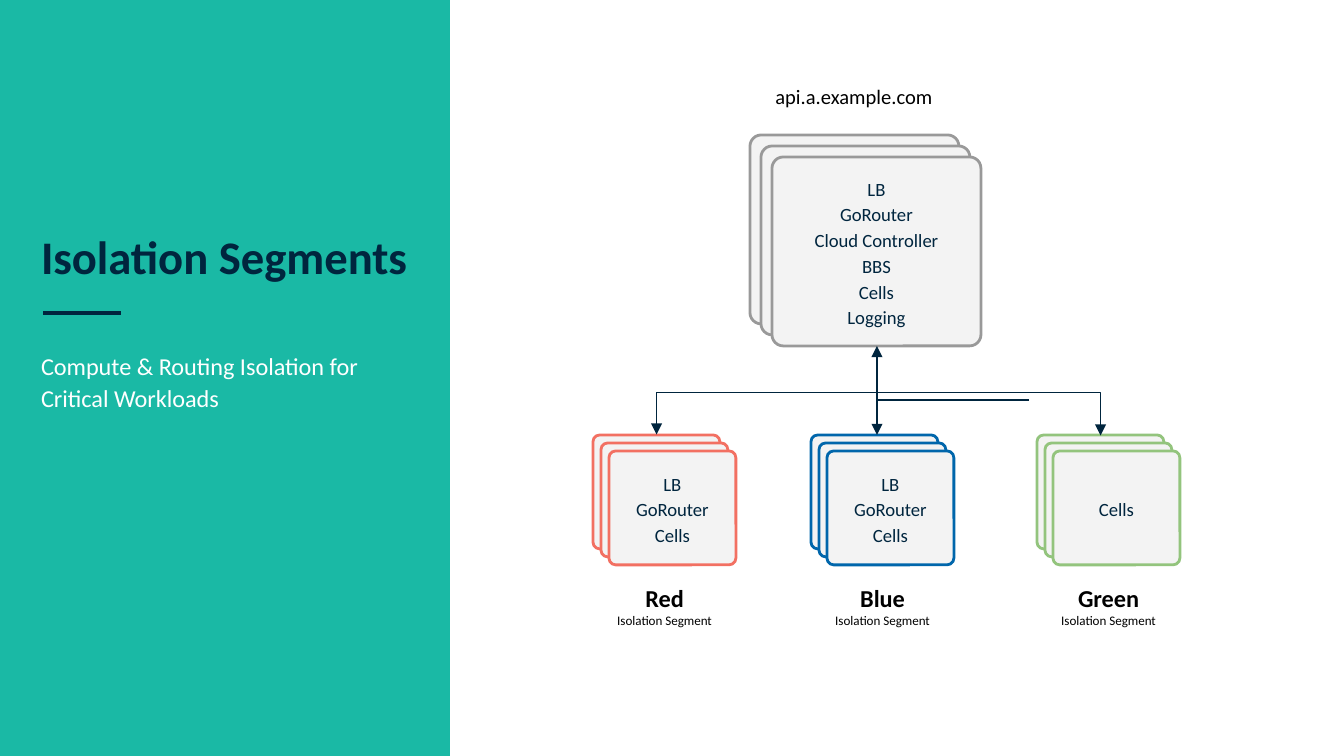
from dataclasses import dataclass

from lxml.etree import SubElement
from pptx import Presentation
from pptx.dml.color import RGBColor
from pptx.enum.shapes import MSO_CONNECTOR as Link, MSO_SHAPE as Shape
from pptx.enum.text import MSO_ANCHOR as Anchor, MSO_AUTO_SIZE as AutoSize, PP_ALIGN as Align
from pptx.oxml.ns import qn
from pptx.util import Emu, Pt

EMU_PER_PX = 914400 / 134.4


@dataclass(frozen=True)
class Theme:
    font: str = "Calibri"
    panel: str = "1AB9A5"
    ink: str = "00253E"
    black: str = "000000"
    white: str = "FFFFFF"
    card: str = "F3F3F3"
    gray: str = "999999"
    red: str = "F27062"
    blue: str = "0066AB"
    green: str = "93C47D"
    title: int = 25
    lead: int = 13
    host: int = 11
    item: int = 10
    caption: int = 7


def px(length):
    return Emu(round(length * EMU_PER_PX))


def rgb(color):
    return RGBColor.from_string(color)


def write(frame, text, *, font, size, color, bold=False, align=Align.CENTER,
          spacing=1.0, after=0, more=False):
    """Add one formatted paragraph; more=True continues a filled frame."""
    paragraph = frame.add_paragraph() if more else frame.paragraphs[0]
    paragraph.text = text
    paragraph.alignment = align
    paragraph.line_spacing = spacing
    paragraph.space_before = Pt(0)
    paragraph.space_after = Pt(after)
    style = paragraph.font
    style.name, style.size, style.bold = font, Pt(size), bold
    style.color.rgb = rgb(color)


class SlideBuilder:
    def __init__(self, slide, theme):
        self.slide = slide
        self.shapes = slide.shapes
        self.theme = theme

    def prepare(self, frame, anchor=Anchor.TOP):
        frame.word_wrap = True
        frame.auto_size = AutoSize.NONE
        frame.vertical_anchor = anchor
        frame.margin_left = frame.margin_right = px(13)
        frame.margin_top = frame.margin_bottom = px(13)
        return frame

    def placeholder(self, index, box, text, anchor, **style):
        holder = self.slide.placeholders[index]
        holder.left, holder.top, holder.width, holder.height = map(px, box)
        self.shapes.element.append(holder.element)  # above the panel
        frame = self.prepare(holder.text_frame, anchor)
        write(frame, text, font=self.theme.font, align=Align.LEFT, **style)

    def label(self, box, lines):
        frame = self.prepare(self.shapes.add_textbox(*map(px, box)).text_frame)
        for number, (text, size, bold) in enumerate(lines):
            write(frame, text, font=self.theme.font, size=size, bold=bold,
                  color=self.theme.black, more=number > 0)

    def block(self, kind, box, fill, outline=None):
        block = self.shapes.add_shape(kind, *map(px, box))
        block.shadow.inherit = False
        block.fill.solid()
        block.fill.fore_color.rgb = rgb(fill)
        if outline:
            block.line.color.rgb = rgb(outline)
            block.line.width = Pt(1.5)
        else:
            block.line.fill.background()
        return block

    def stack(self, box, step, outline, items):
        """Three offset cards; the front one lists the components."""
        left, top, width, height = box
        for depth in range(3):
            place = (left + depth * step, top + depth * step, width, height)
            card = self.block(Shape.ROUNDED_RECTANGLE, place, self.theme.card, outline)
            card.adjustments[0] = 0.06
        frame = card.text_frame
        frame.word_wrap = True
        frame.vertical_anchor = Anchor.MIDDLE
        for number, item in enumerate(items):
            write(frame, item, font=self.theme.font, size=self.theme.item,
                  color=self.theme.ink, spacing=1.15, more=number > 0)

    def connector(self, kind, ends, width=0.75, arrows=(), turn=0, preset=None, bend=None):
        line = self.shapes.add_connector(kind, *map(px, ends))
        line.line.color.rgb = rgb(self.theme.ink)
        line.line.width = Pt(width)
        properties = line.element.spPr
        outline = properties.find(qn("a:ln"))
        for end in arrows:
            SubElement(outline, qn(f"a:{end}"), type="triangle")
        SubElement(properties, qn("a:effectLst"))
        geometry = properties.find(qn("a:prstGeom"))
        if turn:
            properties.find(qn("a:xfrm")).set("rot", str(turn * 60000))
        if preset:
            geometry.set("prst", preset)
        if bend is not None:
            SubElement(geometry.find(qn("a:avLst")), qn("a:gd"),
                       name="adj1", fmla=f"val {bend * 100000}")


def main():
    theme = Theme()
    deck = Presentation()
    deck.slide_width, deck.slide_height = px(1344), px(756)
    page = SlideBuilder(deck.slides.add_slide(deck.slide_layouts[0]), theme)

    # Title panel
    page.block(Shape.RECTANGLE, (0, 0, 450, 756), theme.panel)
    page.connector(Link.STRAIGHT, (121, 313, 43, 313), width=2.25)
    page.placeholder(0, (28, 80, 405, 217), "Isolation Segments", Anchor.BOTTOM,
                     size=theme.title, color=theme.ink, bold=True)
    page.placeholder(1, (28, 335, 405, 328),
                     "Compute & Routing Isolation for Critical Workloads", Anchor.TOP,
                     size=theme.lead, color=theme.white, spacing=1.1, after=15)

    # Shared control plane
    page.label((750, 71, 208, 56), [("api.a.example.com", theme.host, False)])
    page.stack((750, 135, 209, 189), 11, theme.gray,
               ["LB", "GoRouter", "Cloud Controller", "BBS", "Cells", "Logging"])

    # Isolation segments
    routed = ["LB", "GoRouter", "Cells"]
    segments = [
        ("Red", 593, theme.red, routed),
        ("Blue", 811, theme.blue, routed),
        ("Green", 1037, theme.green, ["Cells"]),
    ]
    for name, left, color, items in segments:
        page.stack((left, 435, 127, 114), 8, color, items)
        page.label((left + 1, 570, 141, 56),
                   [(name, theme.lead, True), ("Isolation Segment", theme.caption, False)])

    # Links from the control plane to the segments
    page.connector(Link.ELBOW, (877, 346, 1029, 400), arrows=["tailEnd"],
                   turn=180, preset="bentConnector2")
    page.connector(Link.ELBOW, (879, 213, 878, 657), arrows=["headEnd", "tailEnd"],
                   turn=270, bend=-42)
    page.connector(Link.STRAIGHT, (877, 435, 877, 400), arrows=["headEnd"])

    deck.save("out.pptx")


if __name__ == "__main__":
    main()
